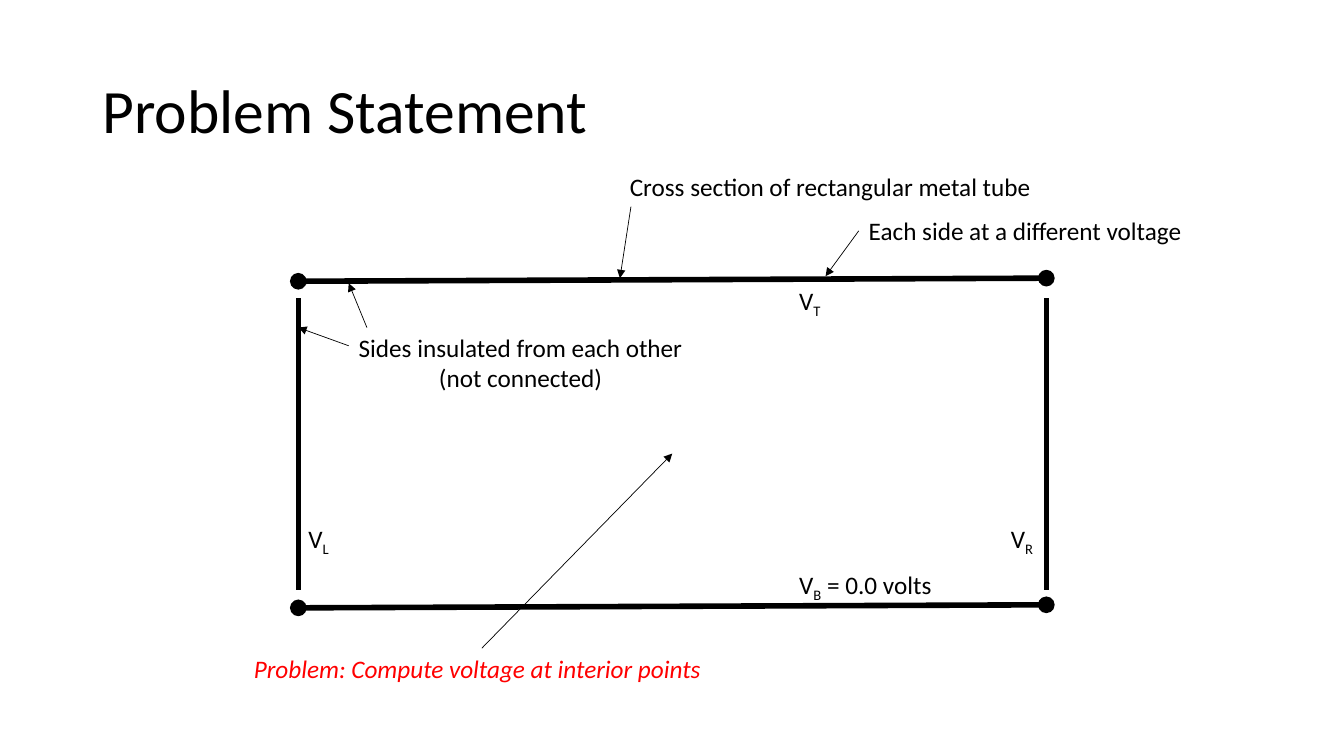
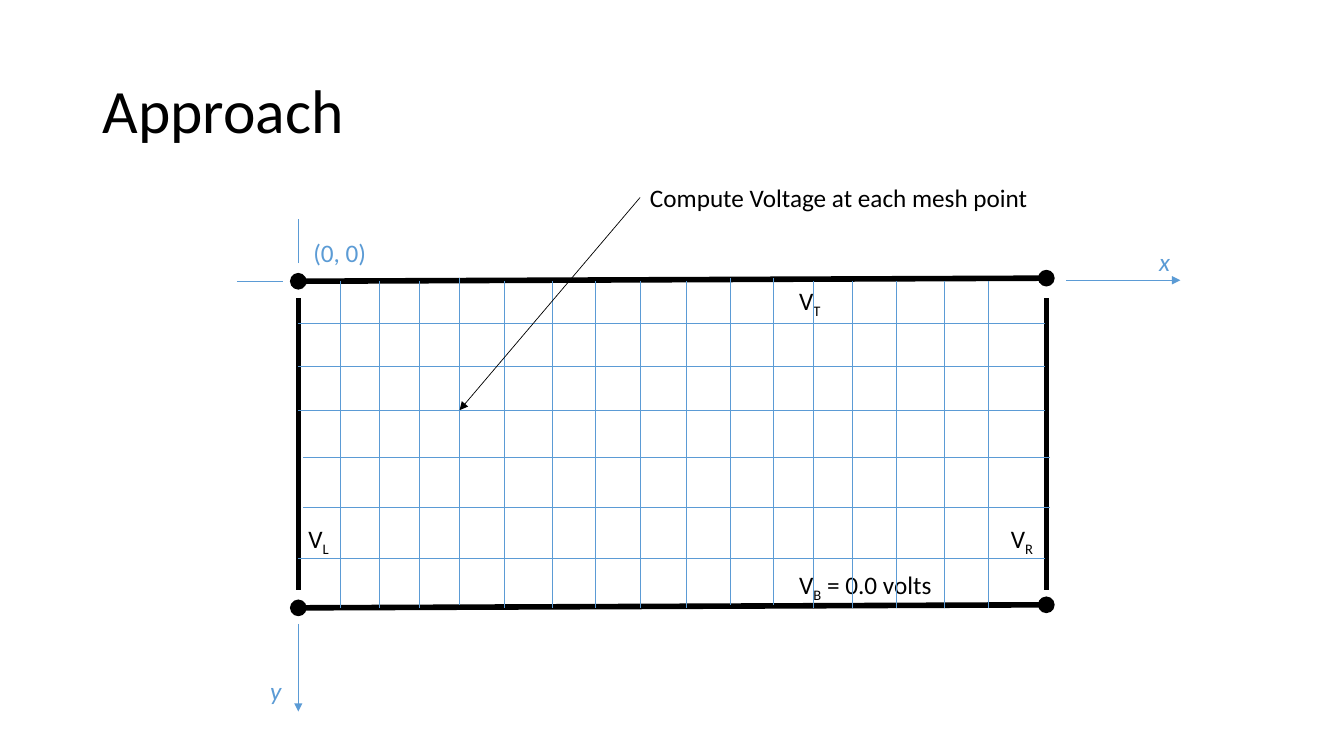
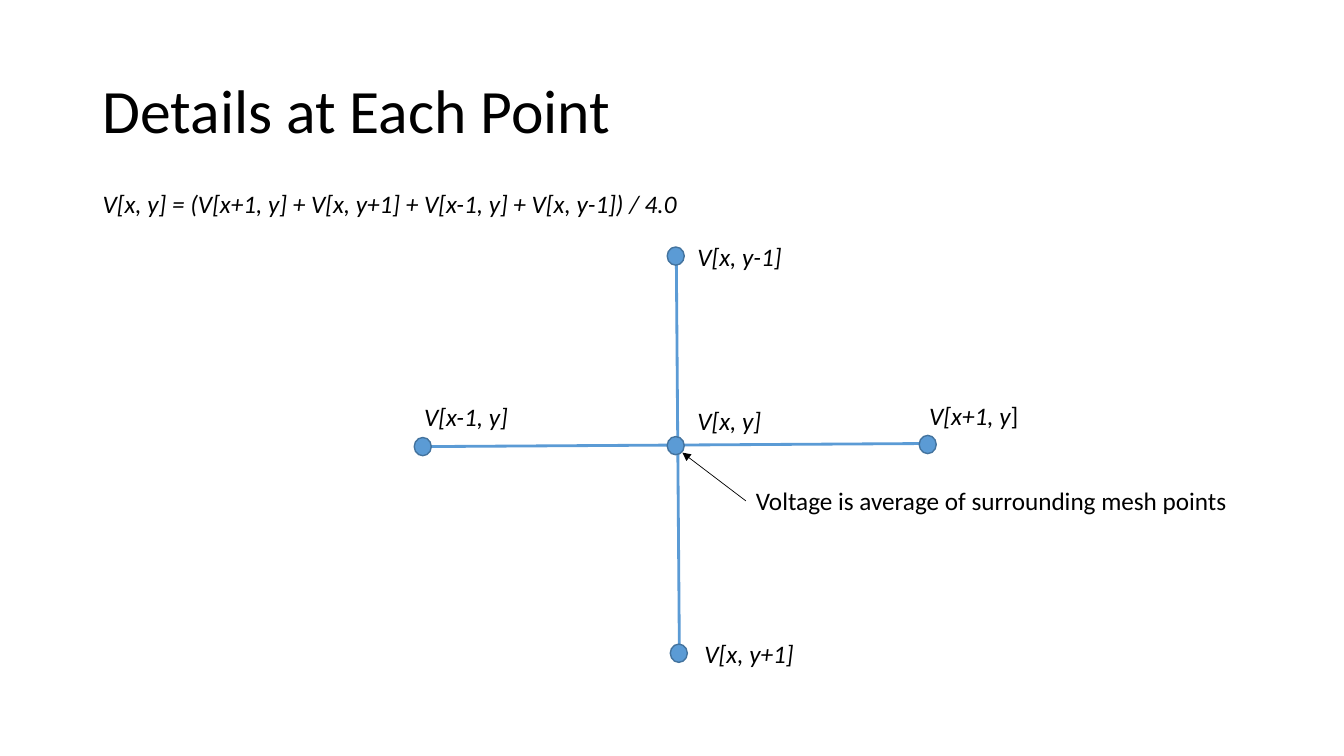
from dataclasses import dataclass
from typing import NamedTuple, Optional

from lxml.etree import SubElement
from pptx import Presentation
from pptx.dml.color import RGBColor
from pptx.enum.shapes import MSO_CONNECTOR, MSO_SHAPE
from pptx.enum.text import MSO_ANCHOR, MSO_AUTO_SIZE, PP_ALIGN
from pptx.oxml.ns import qn
from pptx.presentation import Presentation as Deck
from pptx.slide import Slide
from pptx.util import Pt

FONT = "Calibri"
BLACK = "000000"
RED = "FF0000"
BLUE = "5B9BD5"
DARK_BLUE = "43739E"
THIN = 0.5
THICK = 4
TEXT_SIZE = 18
LINE_HEIGHT = 28.8

TUBE_LEFT, TUBE_RIGHT = 213.1, 747.4
TUBE_TOP, TUBE_BOTTOM = 200.9, 434.2
SIDE_TOP, SIDE_BOTTOM = 213.1, 421.2
TILT = 2.2

MESH_COLUMNS = (243.4, 270.7, 299.5, 328.3, 360, 394.6, 425.5, 457.2,
                490.3, 522, 552.2, 581, 609.1, 640.1, 674.6, 706.3)
RAISED_COLUMNS = (328.3, 522, 552.2)
MESH_ROWS = (231.1, 261.4, 293, 326.9, 362.2, 398.9)
SHIFTED_ROWS = (326.9, 362.2)
ROW_SHIFT = 3.6
NODE_WIDTH, NODE_HEIGHT = 12.2, 13


class Point(NamedTuple):
    x: float
    y: float


class Run(NamedTuple):
    text: str
    italic: bool = False
    subscript: bool = False


@dataclass(frozen=True)
class Label:
    paragraphs: tuple[tuple[Run, ...], ...]
    left: float
    top: float
    width: float
    color: str = BLACK


@dataclass(frozen=True)
class Stroke:
    start: Point
    end: Point
    color: str = BLACK
    weight: float = THIN
    head: Optional[str] = None
    tail: Optional[str] = None


def rgb(color: str) -> RGBColor:
    return RGBColor.from_string(color)


def label(text: str, left: float, top: float, width: float, *,
          color: str = BLACK, italic: bool = False, subscript: str = "", rest: str = "") -> Label:
    lines = [(Run(line, italic),) for line in text.split("\n")]
    if subscript:
        lines[-1] += (Run(subscript, italic, True),)
    if rest:
        lines[-1] += (Run(rest),)
    return Label(tuple(lines), left, top, width, color)


def write(paragraph, run: Run, *, size: float = TEXT_SIZE, color: str = BLACK) -> None:
    piece = paragraph.add_run()
    piece.text = run.text
    piece.font.name = FONT
    piece.font.size = Pt(size)
    piece.font.italic = run.italic
    piece.font.color.rgb = rgb(color)
    if run.subscript:
        piece._r.get_or_add_rPr().set("baseline", "-25000")


def draw_label(slide: Slide, item: Label) -> None:
    height = LINE_HEIGHT + 22 * (len(item.paragraphs) - 1)
    frame = slide.shapes.add_textbox(Pt(item.left), Pt(item.top), Pt(item.width), Pt(height)).text_frame
    frame.word_wrap = False
    frame.auto_size = MSO_AUTO_SIZE.SHAPE_TO_FIT_TEXT
    for index, runs in enumerate(item.paragraphs):
        paragraph = frame.add_paragraph() if index else frame.paragraphs[0]
        paragraph.alignment = PP_ALIGN.CENTER if index else PP_ALIGN.LEFT
        for run in runs:
            write(paragraph, run, color=item.color)


def draw_stroke(slide: Slide, stroke: Stroke) -> None:
    connector = slide.shapes.add_connector(
        MSO_CONNECTOR.STRAIGHT, *(Pt(value) for value in (*stroke.start, *stroke.end)))
    connector.line.color.rgb = rgb(stroke.color)
    connector.line.width = Pt(stroke.weight)
    properties = connector._element.spPr
    outline = properties.get_or_add_ln()
    for end, kind in (("a:headEnd", stroke.head), ("a:tailEnd", stroke.tail)):
        if kind:
            SubElement(outline, qn(end), type=kind)
    SubElement(properties, qn("a:effectLst"))


def draw_node(slide: Slide, corner: Point) -> None:
    node = slide.shapes.add_shape(
        MSO_SHAPE.OVAL, Pt(corner.x), Pt(corner.y), Pt(NODE_WIDTH), Pt(NODE_HEIGHT))
    node.shadow.inherit = False
    node.fill.solid()
    node.fill.fore_color.rgb = rgb(BLUE)
    node.line.color.rgb = rgb(DARK_BLUE)
    node.line.width = Pt(1)


def arrow(x1: float, y1: float, x2: float, y2: float, color: str = BLACK) -> Stroke:
    return Stroke(Point(x1, y1), Point(x2, y2), color, tail="triangle")


def line(x1: float, y1: float, x2: float, y2: float, weight: float = THIN) -> Stroke:
    return Stroke(Point(x1, y1), Point(x2, y2), BLUE, weight)


def draw_all(slide: Slide, *items: Label | Stroke) -> None:
    for item in items:
        if isinstance(item, Label):
            draw_label(slide, item)
        else:
            draw_stroke(slide, item)


def add_titled_slide(deck: Deck, text: str) -> Slide:
    slide = deck.slides.add_slide(deck.slide_layouts[5])
    title = slide.shapes.title
    title.left, title.top, title.width, title.height = Pt(66), Pt(28.8), Pt(828), Pt(104.4)
    frame = title.text_frame
    frame.vertical_anchor = MSO_ANCHOR.MIDDLE
    frame.word_wrap = True
    paragraph = frame.paragraphs[0]
    paragraph.alignment = PP_ALIGN.LEFT
    paragraph.line_spacing = 0.9
    write(paragraph, Run(text), size=44)
    return slide


def draw_tube(slide: Slide) -> None:
    for y in (TUBE_TOP, TUBE_BOTTOM):
        draw_stroke(slide, Stroke(Point(TUBE_LEFT, y), Point(TUBE_RIGHT, y - TILT),
                                  weight=THICK, head="oval", tail="oval"))
    for x in (TUBE_LEFT, TUBE_RIGHT):
        draw_stroke(slide, Stroke(Point(x, SIDE_TOP), Point(x, SIDE_BOTTOM), weight=THICK))
    draw_all(
        slide,
        label("V", 563.8, 403.2, 110.9, subscript="B", rest=" = 0.0 volts"),
        label("V", 563.8, 200.2, 31, subscript="T"),
        label("V", 213.1, 370.1, 30.2, subscript="L"),
        label("V", 715, 370.1, 31.7, subscript="R"),
    )


def draw_mesh(slide: Slide) -> None:
    for x in MESH_COLUMNS:
        rise = TILT if x in RAISED_COLUMNS else 0
        draw_stroke(slide, line(x, TUBE_TOP - rise, x, TUBE_BOTTOM - rise))
    for y in MESH_ROWS:
        shift = ROW_SHIFT if y in SHIFTED_ROWS else 0
        draw_stroke(slide, line(TUBE_LEFT + shift, y, TUBE_RIGHT - 0.7 + shift, y))


def build_problem(deck: Deck) -> None:
    slide = add_titled_slide(deck, "Problem Statement")
    draw_tube(slide)
    draw_all(
        slide,
        label("Cross section of rectangular metal tube", 442.8, 118.8, 303.8),
        label("Sides insulated from each other\n(not connected)", 249.1, 234, 248.4),
        arrow(450.7, 147.6, 442.8, 198.7),
        arrow(249.1, 247, TUBE_LEFT, 234),
        arrow(262.1, 234, 249.1, 202.3),
        label("Problem: Compute voltage at interior points", 174.2, 463, 339.8, color=RED, italic=True),
        arrow(344.2, 463, 480.2, 324),
        label("Each side at a different voltage", 613.4, 150.5, 241.2),
        arrow(613.4, 164.9, 589.7, 197.3),
    )


def build_approach(deck: Deck) -> None:
    slide = add_titled_slide(deck, "Approach")
    draw_tube(slide)
    draw_all(
        slide,
        arrow(761.8, 200.2, 843.1, 200.2, BLUE),
        arrow(TUBE_LEFT, 445.7, TUBE_LEFT, 508.3, BLUE),
        line(TUBE_LEFT, 187.9, TUBE_LEFT, 156.2),
        line(169.2, TUBE_TOP, 202.3, TUBE_TOP),
        label("(0, 0)", 216.7, 166.3, 52.6, color=BLUE),
        label("x", 820.8, 172.1, 22.3, color=BLUE, italic=True),
        label("y", 185.8, 478.8, 23, color=BLUE, italic=True),
    )
    draw_mesh(slide)
    draw_all(
        slide,
        label("Compute Voltage at each mesh point", 457.2, 126.7, 287.3),
        arrow(457.2, 141.1, MESH_COLUMNS[3], MESH_ROWS[2]),
    )


def build_details(deck: Deck) -> None:
    slide = add_titled_slide(deck, "Details at Each Point")
    draw_all(slide, line(483.1, 182.9, 485.3, 467.3, 2), line(305.3, 319, 661, 316.8, 2))
    for corner in (Point(476.6, 311.8), Point(476.6, 176.4), Point(478.8, 460.1),
                   Point(295.9, 312.5), Point(656.6, 311)):
        draw_node(slide, corner)
    draw_all(
        slide,
        label("V[x, y]", 491, 285.8, 60.5, italic=True),
        label("V[x+1, y", 656.6, 282.2, 79.2, italic=True, rest="]"),
        label("V[x-1, y]", 295.9, 283, 75.6, italic=True),
        label("V[x, y-1]", 491, 168.5, 75.6, italic=True),
        label("V[x, y+1]", 496.1, 452.2, 79.2, italic=True),
        label("V[x, y] = (V[x+1, y] + V[x, y+1] + V[x-1, y] + V[x, y-1]) / 4.0",
              66.2, 131, 430.6, italic=True),
        label("Voltage is average of surrounding mesh points", 532.8, 343.4, 355),
        arrow(532.8, 357.8, 487.4, 323.3),
    )


def main() -> None:
    deck = Presentation()
    deck.slide_width, deck.slide_height = Pt(960), Pt(540)
    build_problem(deck)
    build_approach(deck)
    build_details(deck)
    deck.save("out.pptx")


if __name__ == "__main__":
    main()
